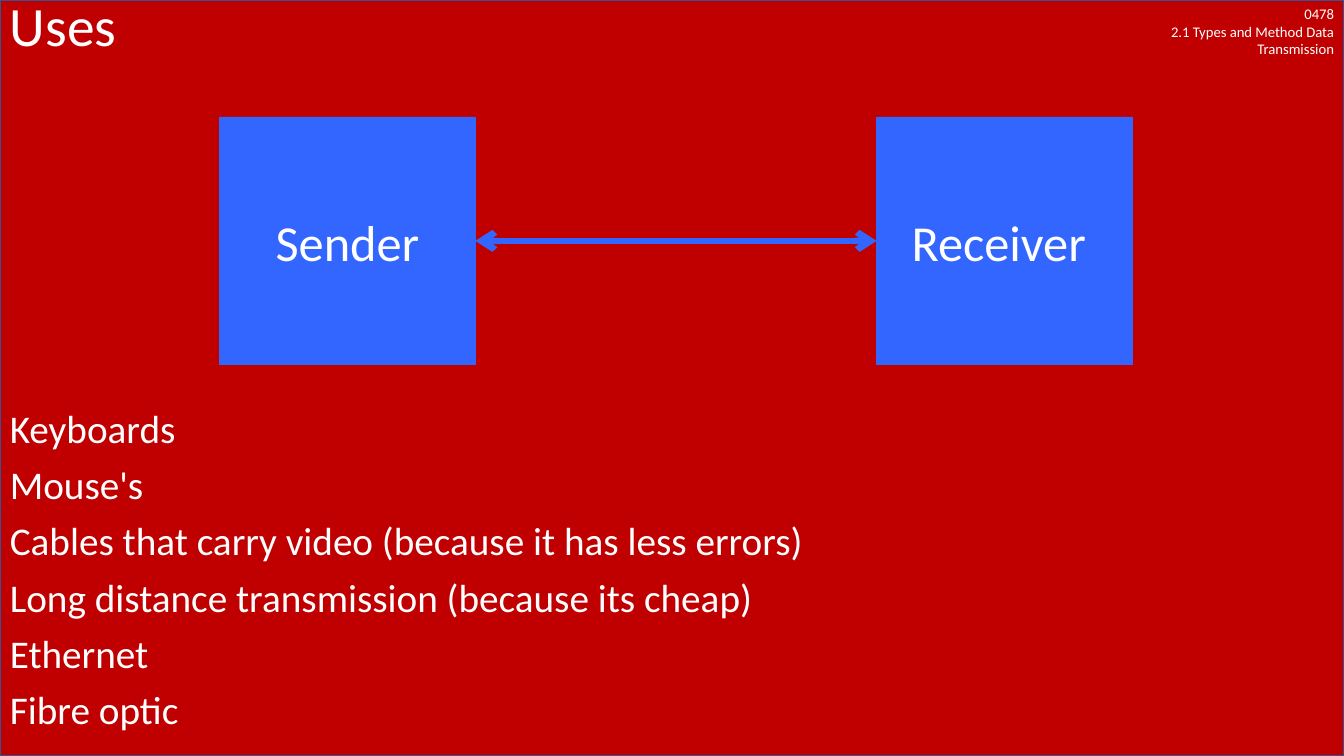
import pptx
import pptx.util
import pptx.dml.color
import pptx.enum.text
import pptx.enum.shapes
import lxml.etree

HUES = {"red": "C00000", "edge": "325491", "blue": "3366FF", "white": "FFFFFF"}
WIDE, HIGH = 13.33, 7.5
FONT = "Calibri"
USES = [
    "Keyboards",
    "Mouse's",
    "Cables that carry video (because it has less errors)",
    "Long distance transmission (because its cheap)",
    "Ethernet",
    "Fibre optic",
]
ALIGN = pptx.enum.text.PP_ALIGN
ANCHOR = pptx.enum.text.MSO_ANCHOR
NS = "http://schemas.openxmlformats.org/drawingml/2006/main"


def hue(name):
    return pptx.dml.color.RGBColor.from_string(HUES[name])


def inches(box):
    return [pptx.util.Inches(side) for side in box]


def write(frame, lines, size, align=ALIGN.LEFT, anchor=ANCHOR.TOP, pitch=1.0, gap=0):
    frame.word_wrap = True
    frame.vertical_anchor = anchor
    frame.text = "\n".join(lines)
    for i, para in enumerate(frame.paragraphs):
        para.alignment = align
        para.line_spacing = pitch
        para.space_before = pptx.util.Pt(gap if i else 0)
        para.font.size = pptx.util.Pt(size)
        para.font.name = FONT
        para.font.color.rgb = hue("white")


def add_text(slide, box, lines, size, **style):
    write(slide.shapes.add_textbox(*inches(box)).text_frame, lines, size, **style)


def add_block(slide, box, fill, line, width):
    kind = pptx.enum.shapes.MSO_SHAPE.RECTANGLE
    block = slide.shapes.add_shape(kind, *inches(box))
    block.shadow.inherit = False
    block.fill.solid()
    block.fill.fore_color.rgb = hue(fill)
    block.line.color.rgb = hue(line)
    block.line.width = pptx.util.Pt(width)
    return block


def add_arrow(slide, start, end):
    kind = pptx.enum.shapes.MSO_CONNECTOR.STRAIGHT
    arrow = slide.shapes.add_connector(kind, *inches(start + end))
    arrow.line.color.rgb = hue("blue")
    arrow.line.width = pptx.util.Pt(4.5)
    stroke = arrow.line._get_or_add_ln()
    for tip in ("headEnd", "tailEnd"):
        lxml.etree.SubElement(stroke, f"{{{NS}}}{tip}", type="arrow")
    lxml.etree.SubElement(arrow._element.spPr, f"{{{NS}}}effectLst")


def draw_header(slide, box):
    left, top, width, height = box
    note = 2.1
    add_text(slide, (left + width - note, top, note, height),
             ["0478", "2.1 Types and Method Data Transmission"], 10.5, align=ALIGN.RIGHT)
    add_text(slide, (left, top, width, height * 0.9), ["Uses"], 39.6,
             anchor=ANCHOR.MIDDLE, pitch=0.9)


def draw_link(slide, box):
    left, top, width, height = box
    side = width * 0.28
    far = left + width - side
    for x, name in ((far, "Receiver "), (left, "Sender")):
        block = add_block(slide, (x, top, side, height), "blue", "blue", 0.5)
        write(block.text_frame, [name], 36, align=ALIGN.CENTER, anchor=ANCHOR.MIDDLE)
    mid = top + height / 2
    add_arrow(slide, (left + side, mid), (far, mid))


def draw_uses(slide, box):
    add_text(slide, box, USES, 28, pitch=0.9, gap=10)


def main():
    deck = pptx.Presentation()
    deck.slide_width, deck.slide_height = inches((WIDE, HIGH))
    slide = deck.slides.add_slide(deck.slide_layouts[6])
    add_block(slide, (0, 0, WIDE, HIGH), "red", "edge", 1)
    draw_header(slide, (0, 0, WIDE, 0.63))
    draw_uses(slide, (0, 4.01, WIDE, HIGH - 4.01))
    draw_link(slide, (2.18, 1.16, 9.05, 2.46))
    deck.save("out.pptx")


if __name__ == "__main__":
    main()
